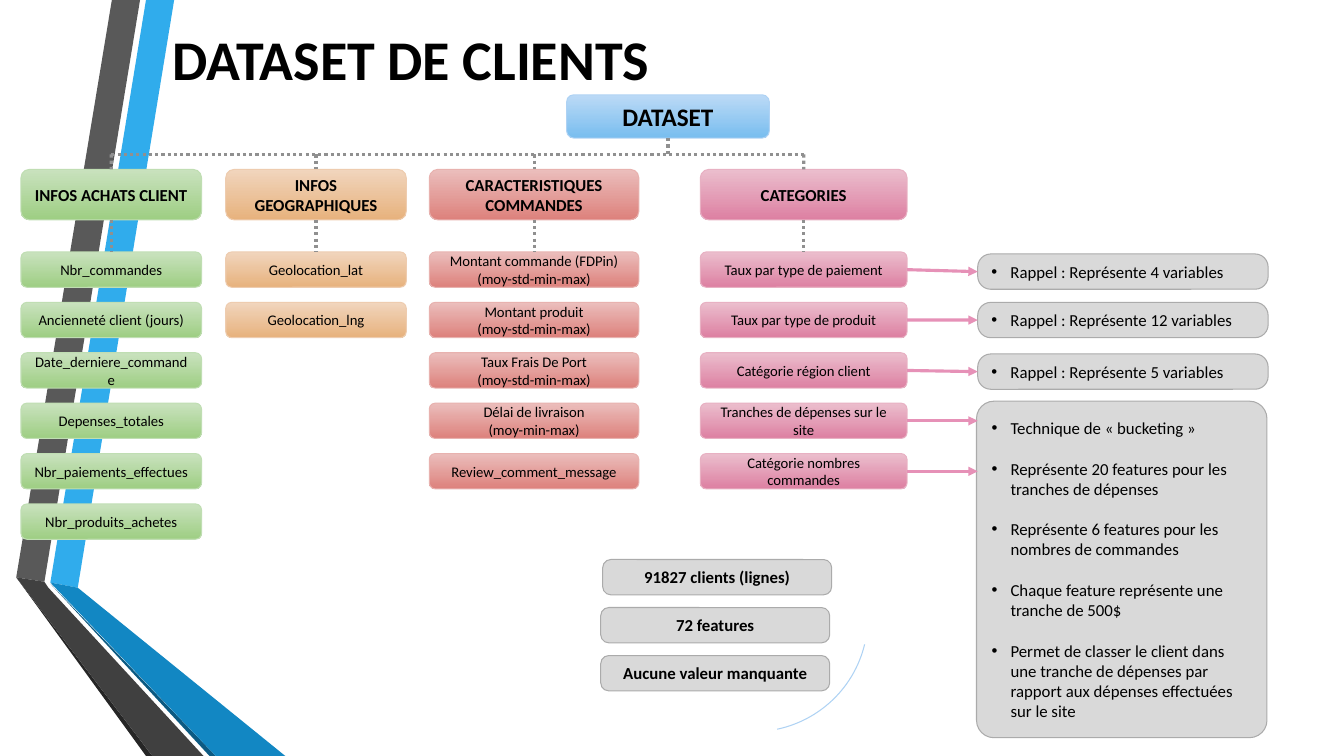
import pptx
import pptx.util
import pptx.dml.color
import pptx.enum.dml
import pptx.enum.shapes
import pptx.enum.text
import pptx.oxml

Cm = pptx.util.Cm
Pt = pptx.util.Pt
RGB = pptx.dml.color.RGBColor
SHAPE = pptx.enum.shapes.MSO_SHAPE
ALIGN = pptx.enum.text.PP_ALIGN
NS = 'xmlns:a="http://schemas.openxmlformats.org/drawingml/2006/main"'

BLACK = RGB(0x00, 0x00, 0x00)
DOTS = RGB(0x90, 0x90, 0x90)
ARROW = RGB(0xE6, 0x91, 0xB7)
PANEL = RGB(0xD9, 0xD9, 0xD9)
PANEL_LINE = RGB(0xAB, 0xAB, 0xAB)
SKY = RGB(0x30, 0xAC, 0xEC)
OCEAN = RGB(0x12, 0x87, 0xC3)
NAVY = RGB(0x0C, 0x5A, 0x82)
GREY = RGB(0x59, 0x59, 0x59)
CHARCOAL = RGB(0x40, 0x40, 0x40)
SOOT = RGB(0x26, 0x26, 0x26)
BLUE = (RGB(0xBC, 0xDA, 0xF6), RGB(0x78, 0xBD, 0xEF), RGB(0xAE, 0xD2, 0xF4))
GREEN = (RGB(0xC9, 0xE2, 0xBE), RGB(0x9E, 0xCE, 0x83), RGB(0xC0, 0xDE, 0xB3))
ORANGE = (RGB(0xF1, 0xD5, 0xBD), RGB(0xE7, 0xB2, 0x7D), RGB(0xEE, 0xCC, 0xAF))
RED = (RGB(0xEB, 0xBE, 0xBC), RGB(0xDD, 0x81, 0x7C), RGB(0xE8, 0xB2, 0xAF))
PINK = (RGB(0xEB, 0xBE, 0xCD), RGB(0xDD, 0x80, 0xA2), RGB(0xE8, 0xB1, 0xC3))

RIBBONS = [
    (SKY, [(1.27, 14.68), (1.96, 14.81), (4.39, 0), (3.68, 0)]),
    (GREY, [(3.53, 0), (2.82, 0), (0.41, 14.55), (1.12, 14.66)]),
    (SOOT, [(0.41, 14.55), (3.68, 19.05), (3.84, 19.05)]),
    (NAVY, [(1.27, 14.71), (5.28, 19.05), (5.44, 19.05)]),
    (OCEAN, [(1.27, 14.68), (5.44, 19.05), (7.19, 19.05), (1.96, 14.81)]),
    (CHARCOAL, [(5.13, 19.05), (1.22, 14.81), (1.12, 14.66), (0.41, 14.55), (3.84, 19.05)]),
]
COLUMNS = [
    (0.53, 4.55, GREEN, "INFOS ACHATS CLIENT",
     ["Nbr_commandes", "Ancienneté client (jours)", "Date_derniere_commande",
      "Depenses_totales", "Nbr_paiements_effectues", "Nbr_produits_achetes"]),
    (5.69, 4.55, ORANGE, "INFOS GEOGRAPHIQUES", ["Geolocation_lat", "Geolocation_lng"]),
    (10.82, 5.28, RED, "CARACTERISTIQUES COMMANDES",
     ["Montant commande (FDPin)\n(moy-std-min-max)", "Montant produit\n(moy-std-min-max)",
      "Taux Frais De Port\n(moy-std-min-max)", "Délai de livraison\n(moy-min-max)",
      "Review_comment_message"]),
    (17.65, 5.21, PINK, "CATEGORIES",
     ["Taux par type de paiement", "Taux par type de produit", "Catégorie région client",
      "Tranches de dépenses sur le site", "Catégorie nombres commandes"]),
]
REMINDERS = [(6.40, "Rappel : Représente 4 variables"),
             (7.62, "Rappel : Représente 12 variables"),
             (8.92, "Rappel : Représente 5 variables")]
BUCKETING = "\n".join([
    "Technique de « bucketing »",
    "Représente 20 features pour les tranches de dépenses",
    "Représente 6 features pour les nombres de commandes",
    "Chaque feature représente une tranche de 500$",
    "Permet de classer le client dans une tranche de dépenses par rapport aux "
    "dépenses effectuées sur le site"])
STATS = [(0.05, "91827 clients (lignes)"), (0, "72 features"), (0, "Aucune valeur manquante")]
ITEM_H = 0.89
ITEM_STEP = 1.27


def write(sp, text, size=12, bold=False, align=ALIGN.CENTER, bullet=False, gap=0):
    tf = sp.text_frame
    tf.word_wrap = True
    tf.vertical_anchor = pptx.enum.text.MSO_ANCHOR.MIDDLE
    for i, line in enumerate(text.split("\n")):
        p = tf.paragraphs[0] if i == 0 else tf.add_paragraph()
        p.alignment = align
        if bullet:
            pPr = p._p.get_or_add_pPr()
            pPr.set("marL", str(Cm(0.48)))
            pPr.set("indent", str(-Cm(0.48)))
            pPr.append(pptx.oxml.parse_xml(f'<a:buFont {NS} typeface="Arial"/>'))
            pPr.append(pptx.oxml.parse_xml(f'<a:buChar {NS} char="•"/>'))
        if i and gap:
            p.space_before = Pt(gap)
        r = p.add_run()
        r.text = line
        r.font.name = "Calibri"
        r.font.size = Pt(size)
        r.font.bold = bold
        r.font.color.rgb = BLACK


def add_box(slide, x, y, w, h, colours=None, radius=None):
    sp = slide.shapes.add_shape(SHAPE.ROUNDED_RECTANGLE, Cm(x), Cm(y), Cm(w), Cm(h))
    sp.shadow.inherit = False
    sp.line.width = Pt(0.75)
    if radius:
        sp.adjustments[0] = radius
    if colours:
        sp.fill.gradient()
        sp.fill.gradient_angle = 270
        for stop, colour in zip(sp.fill.gradient_stops, colours):
            stop.color.rgb = colour
        sp.line.color.rgb = colours[2]
    else:
        sp.fill.solid()
        sp.fill.fore_color.rgb = PANEL
        sp.line.color.rgb = PANEL_LINE
    return sp


def add_line(slide, x1, y1, x2, y2, colour=DOTS, start=None, end=None):
    line = slide.shapes.add_connector(
        pptx.enum.shapes.MSO_CONNECTOR.STRAIGHT, Cm(x1), Cm(y1), Cm(x2), Cm(y2))
    line._element.spPr.append(pptx.oxml.parse_xml(f"<a:effectLst {NS}/>"))
    line.line.color.rgb = colour
    line.line.width = Pt(2.25)
    if colour == DOTS:
        line.line.dash_style = pptx.enum.dml.MSO_LINE.ROUND_DOT
    else:
        line.line._get_or_add_ln().append(
            pptx.oxml.parse_xml(f'<a:tailEnd {NS} type="triangle"/>'))
    if start:
        line.begin_connect(*start)
    if end:
        line.end_connect(*end)


def draw_ribbons(slide, x, y):
    for colour, points in RIBBONS:
        corners = [(Cm(x + px), Cm(y + py)) for px, py in points]
        builder = slide.shapes.build_freeform(*corners[0])
        builder.add_line_segments(corners[1:], close=True)
        sp = builder.convert_to_shape()
        sp.shadow.inherit = False
        sp.fill.solid()
        sp.fill.fore_color.rgb = colour
        sp.line.fill.background()


def draw_title(slide, x, y, w, h):
    sp = slide.shapes.add_textbox(Cm(x), Cm(y), Cm(w), Cm(h))
    write(sp, "DATASET DE CLIENTS", size=40, bold=True, align=ALIGN.LEFT)


def draw_column(slide, x, y, w, colours, heading, items, bus_y):
    mid = x + w / 2
    head = add_box(slide, x, y, w, 1.27, colours)
    write(head, heading, bold=True)
    add_line(slide, mid, bus_y, mid, y, end=(head, 0))
    boxes = []
    for i, item in enumerate(items):
        sp = add_box(slide, x, y + 2.08 + i * ITEM_STEP, w, ITEM_H, colours)
        write(sp, item, size=10.5)
        boxes.append(sp)
    add_line(slide, mid, y + 1.27, mid, y + 2.08, start=(head, 2), end=(boxes[0], 0))
    return boxes


def draw_tree(slide, x, y, w, h):
    root = add_box(slide, x, y, w, h, BLUE)
    write(root, "DATASET", size=18, bold=True)
    bus_y = y + h + 0.41
    add_line(slide, x + w / 2, y + h, x + w / 2, bus_y, start=(root, 2))
    centres = [cx + cw / 2 for cx, cw, *rest in COLUMNS]
    add_line(slide, centres[0], bus_y, centres[-1], bus_y)
    for cx, cw, colours, heading, items in COLUMNS:
        boxes = draw_column(slide, cx, y + 1.88, cw, colours, heading, items, bus_y)
    return boxes


def draw_notes(slide, x, w, categories):
    for (y, text), category in zip(REMINDERS, categories):
        sp = add_box(slide, x, y, w, ITEM_H, radius=0.37)
        write(sp, text, align=ALIGN.LEFT, bullet=True)
        add_line(slide, 0, 0, x, y, ARROW, start=(category, 3), end=(sp, 1))
    panel = add_box(slide, x - 0.03, 10.11, w, 8.48, radius=0.06)
    write(panel, BUCKETING, align=ALIGN.LEFT, bullet=True, gap=14.6)
    for category in categories[len(REMINDERS):]:
        y = (category.top + category.height / 2) / Cm(1)
        add_line(slide, 0, 0, x, y, ARROW, start=(category, 3))


def draw_stats(slide, x, y, w):
    arc = slide.shapes.add_shape(SHAPE.ARC, Cm(x + 0.96), Cm(y - 1.4), Cm(5.77), Cm(5.74))
    arc.shadow.inherit = False
    arc.adjustments[0] = 8.04
    arc.adjustments[1] = 46.74
    arc.fill.background()
    arc.line.color.rgb = BLUE[2]
    arc.line.width = Pt(0.75)
    for i, (shift, text) in enumerate(STATS):
        sp = add_box(slide, x + shift, y + i * 1.21, w, ITEM_H, radius=0.23)
        write(sp, text, bold=True)


def main():
    prs = pptx.Presentation()
    prs.slide_width = Cm(33.87)
    prs.slide_height = Cm(19.05)
    slide = prs.slides.add_slide(prs.slide_layouts[6])
    draw_ribbons(slide, 0, 0)
    draw_title(slide, 4.11, 0, 27.84, 2.95)
    categories = draw_tree(slide, 14.28, 2.39, 5.11, 1.09)
    draw_notes(slide, 24.64, 7.32, categories)
    draw_stats(slide, 15.14, 14.1, 5.77)
    prs.save("out.pptx")


if __name__ == "__main__":
    main()
